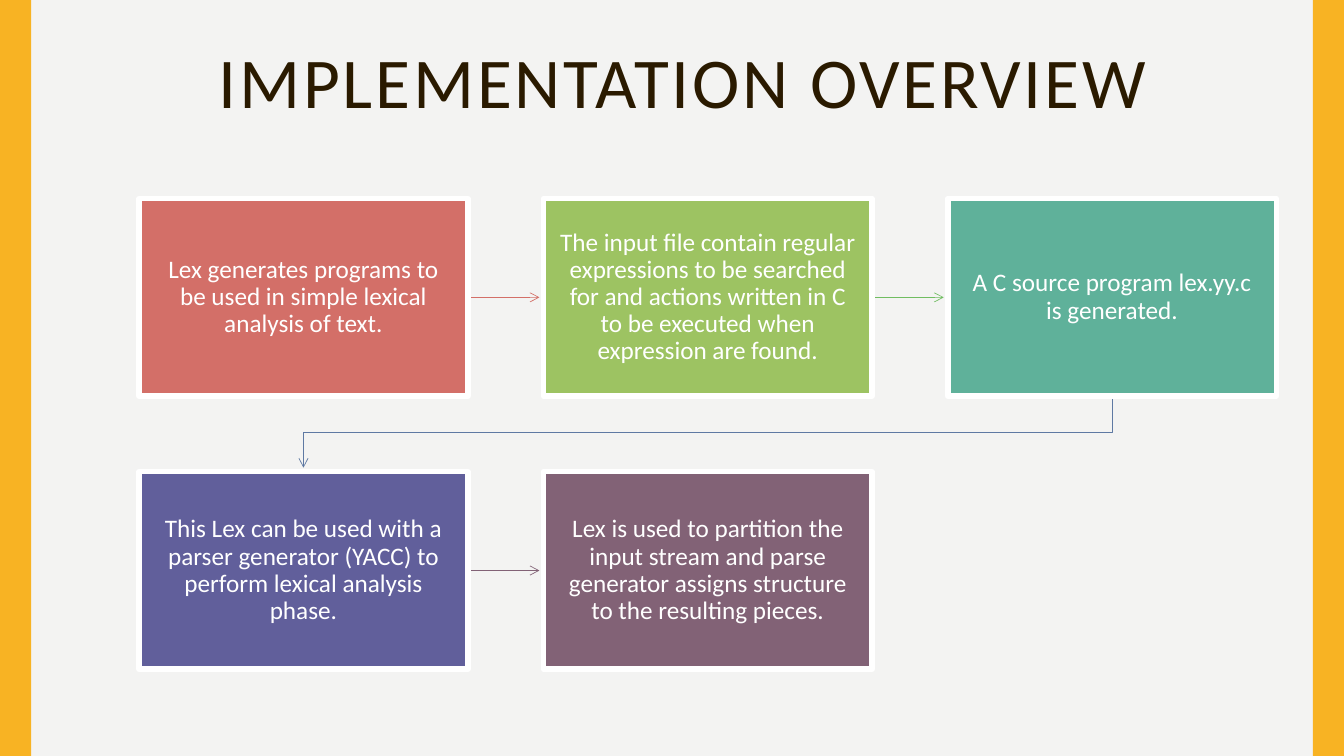
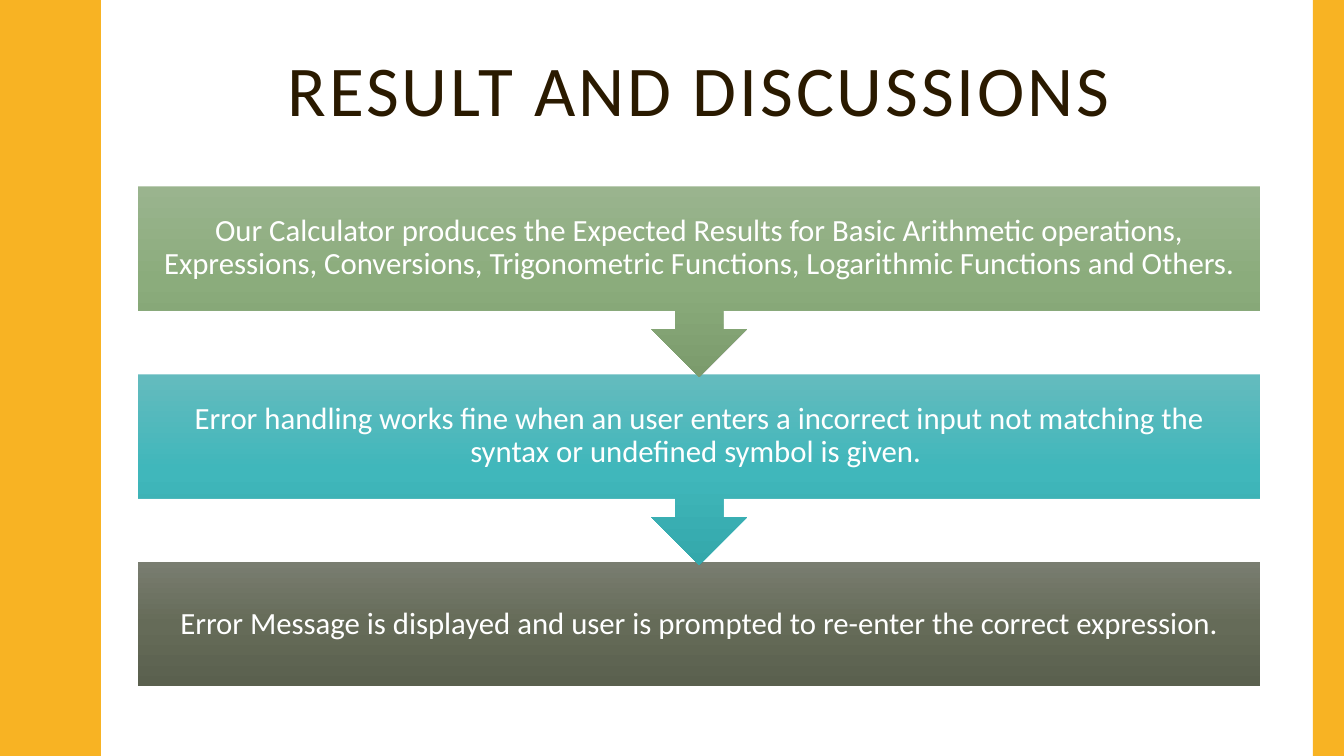
from dataclasses import dataclass

from lxml import etree
from pptx import Presentation
from pptx.dml.color import RGBColor
from pptx.enum.shapes import MSO_CONNECTOR, MSO_SHAPE
from pptx.enum.text import MSO_ANCHOR, PP_ALIGN
from pptx.oxml.ns import qn
from pptx.util import Inches, Pt

RECTANGLE = MSO_SHAPE.RECTANGLE
CALLOUT = MSO_SHAPE.DOWN_ARROW_CALLOUT
STRAIGHT, ELBOW = MSO_CONNECTOR.STRAIGHT, MSO_CONNECTOR.ELBOW
TOP, MIDDLE = MSO_ANCHOR.TOP, MSO_ANCHOR.MIDDLE
CENTER = PP_ALIGN.CENTER


@dataclass(frozen=True)
class Theme:
    font: str = "Calibri"
    ink: str = "2A1A00"
    accent: str = "F8B323"
    white: str = "FFFFFF"
    mist: str = "F3F3F2"
    title_size: int = 51
    title_spacing: int = 200
    step_size: int = 18
    finding_size: int = 22
    border: float = 4
    arrow: float = 0.5
    leading: float = 0.9


THEME = Theme()
WIDTH, HEIGHT = 13.33, 7.5
BAND = 0.31
TITLE_TOP, TITLE_HEIGHT = 0.42, 1.01

STEPS = [
    ("Lex generates programs to be used in simple lexical analysis of text.", "D36F68"),
    ("The input file contain regular expressions to be searched for and actions "
     "written in C to be executed when expression are found.", "9DC362"),
    ("A C source program lex.yy.c is generated.", "5FB19A"),
    ("This Lex can be used with a parser generator (YACC) to perform lexical "
     "analysis phase.", "615F9B"),
    ("Lex is used to partition the input stream and parse generator assigns "
     "structure to the resulting pieces.", "826276"),
]
ARROW_COLORS = ["D36F68", "70BD61", "5E79A3", "826276"]
COLUMNS = 3
GRID_LEFT, GRID_TOP = 1.38, 1.97
STEP_WIDTH, STEP_HEIGHT = 3.26, 1.96
COLUMN_PITCH, ROW_PITCH = 4.01, 2.71
ARROW_GAP = 0.04

FINDINGS = [
    ("Our Calculator produces the Expected Results for Basic Arithmetic operations, "
     "Expressions, Conversions, Trigonometric Functions, Logarithmic Functions and Others.",
     ("9AB48E", "8BAC7C", "7B9B6C")),
    ("Error handling works fine when an user enters a incorrect input not matching the "
     "syntax or undefined symbol is given. ", ("64BBBE", "40B7BB", "34A8AB")),
    ("Error Message is displayed and user is prompted to re-enter the correct expression.",
     ("797D70", "656B58", "5A604E")),
]
FINDING_LEFT, FINDING_WIDTH = 1.37, 11.13
FIRST_TOP, LAST_TOP = 1.85, 5.58
CALLOUT_HEIGHT, LAST_HEIGHT = 1.89, 1.23

WAVE_PERIOD = 1.5
WAVE_RISE = [(0, 0.78), (0.07, 0.78), (0.14, 0.79), (0.2, 0.8), (0.25, 0.81),
             (0.29, 0.83), (0.33, 0.85), (0.38, 0.87), (0.42, 0.89), (0.46, 0.91),
             (0.5, 0.93), (0.55, 0.95), (0.61, 0.96), (0.68, 0.97), (0.75, 0.97)]


def rgb(color):
    return RGBColor.from_string(color)


def write(shape, text, size, color, anchor=MIDDLE, insets=(0.1, 0.05), spacing=None):
    frame = shape.text_frame
    frame.word_wrap = True
    frame.vertical_anchor = anchor
    frame.margin_left = frame.margin_right = Inches(insets[0])
    frame.margin_top = frame.margin_bottom = Inches(insets[1])
    frame.text = text
    para = frame.paragraphs[0]
    para.alignment = CENTER
    para.line_spacing = THEME.leading
    span = para.runs[0]
    span.font.name = THEME.font
    span.font.size = Pt(size)
    span.font.color.rgb = rgb(color)
    if spacing:
        span.font._element.set("spc", str(spacing))


def paint(shape, color):
    shape.shadow.inherit = False
    shape.fill.solid()
    shape.fill.fore_color.rgb = rgb(color)
    shape.line.fill.background()


def paint_gradient(shape, colors):
    paint(shape, colors[0])
    shape.fill.gradient()
    shape.fill.gradient_angle = 270
    stops = shape._element.spPr.find(qn("a:gradFill")).find(qn("a:gsLst"))
    for stop in list(stops):
        stops.remove(stop)
    for index, color in enumerate(colors):
        share = 100000 * index // (len(colors) - 1)
        stop = etree.SubElement(stops, qn("a:gs"), pos=str(share))
        etree.SubElement(stop, qn("a:srgbClr"), val=color)


def add_box(page, kind, left, top, width, height):
    return page.shapes.add_shape(
        kind, Inches(left), Inches(top), Inches(width), Inches(height))


def add_band(page, left):
    paint(add_box(page, RECTANGLE, left, 0, BAND, HEIGHT), THEME.accent)


def add_wave(page):
    fall = [(WAVE_PERIOD - y, x) for y, x in WAVE_RISE[-2::-1]]
    edge = [(x, y + WAVE_PERIOD * cycle)
            for cycle in range(round(HEIGHT / WAVE_PERIOD))
            for y, x in WAVE_RISE + fall]
    outline = page.shapes.build_freeform(0, 0, scale=Inches(1))
    outline.add_line_segments(edge + [(0, HEIGHT)], close=True)
    paint(outline.convert_to_shape(), THEME.accent)


def add_page(deck, title, background, left, width, anchor):
    page = deck.slides.add_slide(deck.slide_layouts[6])
    page.background.fill.solid()
    page.background.fill.fore_color.rgb = rgb(background)
    add_band(page, WIDTH - BAND)
    box = page.shapes.add_textbox(
        Inches(left), Inches(TITLE_TOP), Inches(width), Inches(TITLE_HEIGHT))
    write(box, title, THEME.title_size, THEME.ink, anchor, spacing=THEME.title_spacing)
    return page


def add_arrow(page, kind, start, end, color):
    arrow = page.shapes.add_connector(kind, *(Inches(value) for value in start + end))
    arrow.line.color.rgb = rgb(color)
    arrow.line.width = Pt(THEME.arrow)
    etree.SubElement(arrow.line._get_or_add_ln(), qn("a:tailEnd"), type="arrow")
    etree.SubElement(arrow._element.spPr, qn("a:effectLst"))
    return arrow


def add_turning_arrow(page, start, end, color):
    middle_x, middle_y = (start[0] + end[0]) / 2, (start[1] + end[1]) / 2
    half_run, half_drop = (start[0] - end[0]) / 2, (end[1] - start[1]) / 2
    arrow = add_arrow(page, ELBOW,
                      (middle_x - half_drop, middle_y - half_run),
                      (middle_x + half_drop, middle_y + half_run), color)
    arrow._element.spPr.find(qn("a:xfrm")).set("rot", "5400000")


def step_corner(index):
    row, column = divmod(index, COLUMNS)
    return GRID_LEFT + column * COLUMN_PITCH, GRID_TOP + row * ROW_PITCH


def build_overview(deck):
    page = add_page(deck, "IMPLEMENTATION OVERVIEW", THEME.mist, 0.84, 11.87, TOP)
    add_band(page, 0)
    for index, color in enumerate(ARROW_COLORS):
        left, top = step_corner(index)
        next_left, next_top = step_corner(index + 1)
        if next_top == top:
            middle = top + STEP_HEIGHT / 2
            add_arrow(page, STRAIGHT, (left + STEP_WIDTH, middle),
                      (next_left - ARROW_GAP, middle), color)
        else:
            half = STEP_WIDTH / 2
            add_turning_arrow(page, (left + half, top + STEP_HEIGHT),
                              (next_left + half, next_top - ARROW_GAP), color)
    for index, (text, color) in enumerate(STEPS):
        box = add_box(page, RECTANGLE, *step_corner(index), STEP_WIDTH, STEP_HEIGHT)
        paint(box, color)
        box.line.color.rgb = rgb(THEME.white)
        box.line.width = Pt(THEME.border)
        write(box, text, THEME.step_size, THEME.white, insets=(0.16, 0.17))


def build_results(deck):
    page = add_page(deck, "RESULT AND DISCUSSIONS", THEME.white,
                    FINDING_LEFT, FINDING_WIDTH, MIDDLE)
    add_wave(page)
    last = len(FINDINGS) - 1
    pitch = (LAST_TOP - FIRST_TOP) / last
    for index, (text, colors) in reversed(list(enumerate(FINDINGS))):
        kind, height = (RECTANGLE, LAST_HEIGHT) if index == last else (CALLOUT, CALLOUT_HEIGHT)
        box = add_box(page, kind, FINDING_LEFT, FIRST_TOP + index * pitch,
                      FINDING_WIDTH, height)
        paint_gradient(box, colors)
        write(box, text, THEME.finding_size, THEME.white, insets=(0.17, 0.17))


def main():
    deck = Presentation()
    deck.slide_width, deck.slide_height = Inches(WIDTH), Inches(HEIGHT)
    build_overview(deck)
    build_results(deck)
    deck.save("out.pptx")


if __name__ == "__main__":
    main()
